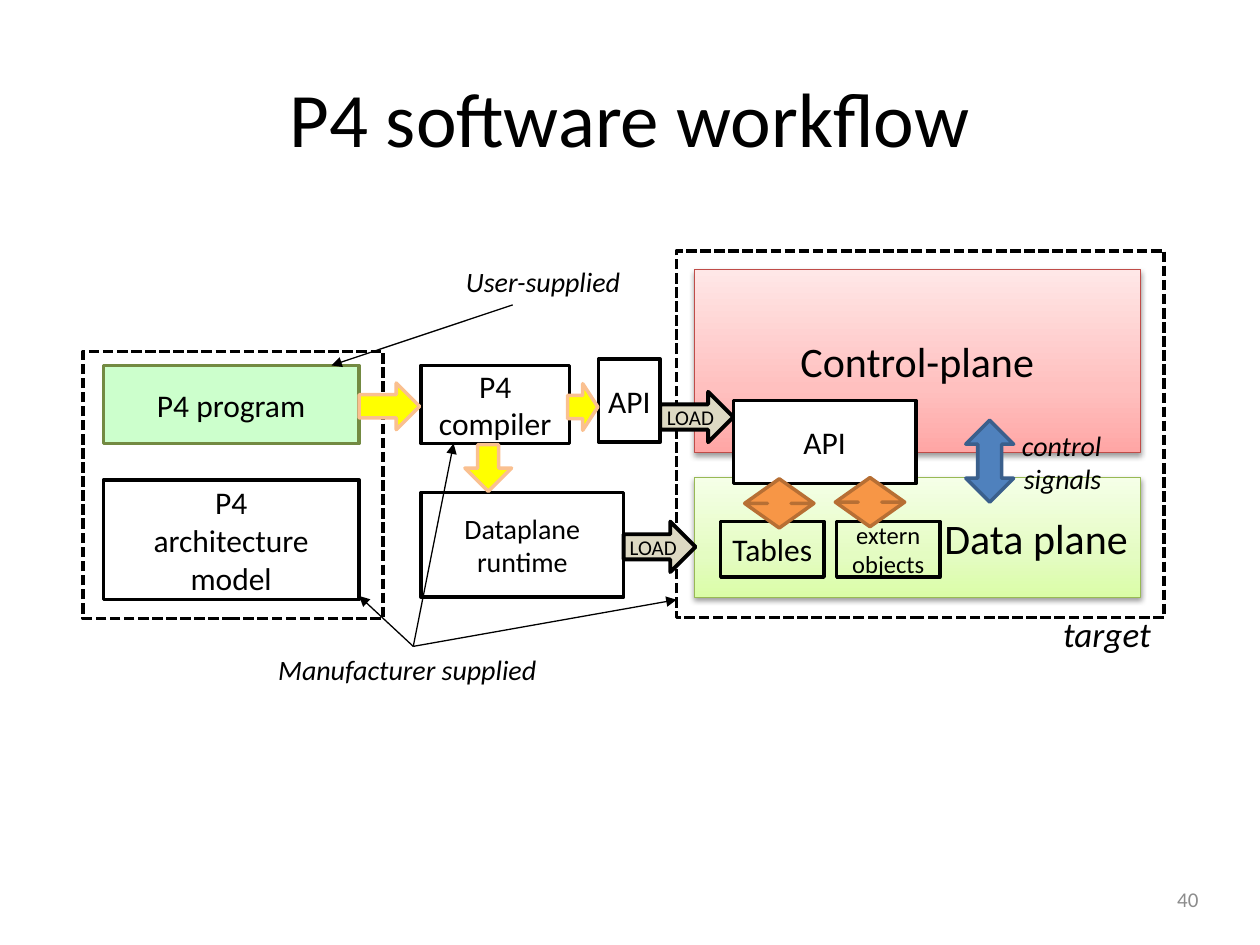
from lxml import etree
from pptx import Presentation
from pptx.dml.color import RGBColor
from pptx.enum.dml import MSO_LINE_DASH_STYLE as DASH
from pptx.enum.shapes import MSO_CONNECTOR, MSO_SHAPE as SHAPE
from pptx.enum.text import MSO_ANCHOR as ANCHOR, PP_ALIGN as ALIGN
from pptx.oxml import parse_xml
from pptx.oxml.ns import nsdecls, qn
from pptx.util import Inches, Pt

COLORS = {
    "black": "000000", "white": "FFFFFF", "grey": "8C8C8C",
    "program": "CCFFCC", "program_line": "738A42",
    "yellow": "FFFF00", "yellow_line": "FAC090",
    "blue": "4F81BD", "blue_line": "3A5F8C",
    "orange": "F79646", "orange_line": "B76F34",
    "load": "DDD9C3", "data_line": "98B955", "control_line": "BF4C48",
}
GRADIENTS = {
    "data": ["DAFDA7", "E4FCC2", "F5FFE7"],
    "control": ["FFA6A5", "FFC0BF", "FFE7E7"],
}


def write(shape, text, size, color="black", italic=False, align=ALIGN.CENTER, wrap=True):
    frame = shape.text_frame
    frame.word_wrap = wrap
    frame.text = text
    for paragraph in frame.paragraphs:
        paragraph.alignment = align
        for run in paragraph.runs:
            run.font.name = "Calibri"
            run.font.size = Pt(size)
            run.font.italic = italic
            run.font.color.rgb = RGBColor.from_string(COLORS[color])


def add_block(kind, place, fill, line, width=2):
    shape = page.shapes.add_shape(kind, *map(Inches, place))
    shape.shadow.inherit = False
    if fill:
        shape.fill.solid()
        shape.fill.fore_color.rgb = RGBColor.from_string(COLORS[fill])
    else:
        shape.fill.background()
    shape.line.color.rgb = RGBColor.from_string(COLORS[line])
    shape.line.width = Pt(width)
    shape.text_frame.vertical_anchor = ANCHOR.MIDDLE
    return shape


deck = Presentation()
deck.slide_width, deck.slide_height = Inches(10), Inches(7.5)
page = deck.slides.add_slide(deck.slide_layouts[5])

title = page.shapes.title
title.left, title.top, title.width, title.height = map(Inches, (0.5, 0.3, 9, 1.25))
title.text_frame.vertical_anchor = ANCHOR.MIDDLE
write(title, "P4 software workflow", 44)

planes = [
    ("data", "Data plane", 3.79, 0.95, ALIGN.RIGHT),
    ("control", "Control-plane", 2.14, 1.45, ALIGN.CENTER),
]
for name, text, top, height, align in planes:
    plane = add_block(SHAPE.RECTANGLE, (5.51, top, 3.54, height), "white", name + "_line", 0.75)
    write(plane, text, 24, align=align)
    stops = "".join(
        f'<a:gs pos="{position}"><a:srgbClr val="{color}"/></a:gs>'
        for position, color in zip((0, 35000, 100000), GRADIENTS[name])
    )
    properties = plane._element.spPr
    properties.replace(properties.find(qn("a:solidFill")), parse_xml(
        f'<a:gradFill {nsdecls("a")} rotWithShape="1"><a:gsLst>{stops}</a:gsLst>'
        '<a:lin ang="16200000" scaled="0"/></a:gradFill>'))
    properties.find(qn("a:effectLst")).append(parse_xml(
        f'<a:outerShdw {nsdecls("a")} blurRad="{Pt(3.1)}" dist="{Pt(1.6)}" dir="5400000" '
        'rotWithShape="0"><a:srgbClr val="000000"><a:alpha val="38000"/></a:srgbClr></a:outerShdw>'))

for place in [(0.66, 2.79, 2.38, 2.12), (5.37, 1.99, 3.87, 2.91)]:
    border = add_block(SHAPE.RECTANGLE, place, None, "black")
    border.line.dash_style = DASH.SQUARE_DOT

boxes = [
    ("P4 program", (0.82, 2.9, 2.03, 0.62), "program", "program_line", 18, True),
    ("P4\varchitecture\nmodel", (0.82, 3.81, 2.03, 0.95), None, "black", 18, True),
    ("P4 compiler", (3.34, 2.9, 1.18, 0.62), None, "black", 18, True),
    ("Dataplane\vruntime", (3.34, 3.91, 1.61, 0.83), None, "black", 16, True),
    ("Tables", (5.72, 4.14, 0.82, 0.44), None, "black", 18, False),
    ("extern\vobjects", (6.64, 4.14, 0.82, 0.44), None, "black", 14, False),
    ("API", (5.82, 3.18, 1.45, 0.66), "white", "black", 18, True),
    ("API", (4.75, 2.85, 0.49, 0.66), "white", "black", 18, False),
]
for text, place, fill, line, size, wrap in boxes:
    write(add_block(SHAPE.RECTANGLE, place, fill, line), text, size, wrap=wrap)

arrows = [
    (SHAPE.DOWN_ARROW, (3.69, 3.53, 0.37, 0.37), "yellow", 0, (0.45, 0.5)),
    (SHAPE.RIGHT_ARROW, (2.85, 3.04, 0.48, 0.37), "yellow", 0, (0.5, 0.5)),
    (SHAPE.DOWN_ARROW, (4.44, 3.11, 0.37, 0.24), "yellow", 270, (0.5, 0.5)),
    (SHAPE.LEFT_RIGHT_ARROW, (7.53, 3.47, 0.65, 0.38), "blue", 270, (0.5, 0.5)),
    (SHAPE.UP_DOWN_ARROW, (5.91, 3.8, 0.55, 0.39), "orange", 0, (0.5, 0.34)),
    (SHAPE.UP_DOWN_ARROW, (6.63, 3.79, 0.55, 0.39), "orange", 0, (0.5, 0.34)),
]
for kind, place, color, rotation, adjustments in arrows:
    arrow = add_block(kind, place, color, color + "_line")
    arrow.rotation = rotation
    for index, value in enumerate(adjustments):
        arrow.adjustments[index] = value

for place in [(4.95, 4.14, 0.57, 0.4), (5.24, 3.11, 0.58, 0.4)]:
    load = add_block(SHAPE.RIGHT_ARROW, place, "load", "black", 2.25)
    write(load, "LOAD", 12, wrap=False)

supplier = (3.28, 5.13)
pointers = [
    ((4.07, 2.42), (2.63, 2.9)),
    (supplier, (2.85, 4.73)),
    (supplier, (3.6, 3.52)),
    (supplier, (5.37, 4.76)),
]
for start, end in pointers:
    pointer = page.shapes.add_connector(MSO_CONNECTOR.STRAIGHT, *map(Inches, start + end))
    pointer.line.color.rgb = RGBColor.from_string(COLORS["black"])
    pointer.line.width = Pt(0.75)
    etree.SubElement(pointer.line._get_or_add_ln(), qn("a:tailEnd"), type="triangle")
    etree.SubElement(pointer._element.spPr, qn("a:effectLst"))

labels = [
    ("target", (8.34, 4.81, 0.9, 0.44), 20, "black", True, ALIGN.LEFT),
    ("User-supplied", (3.6, 2.05, 1.5, 0.37), 16, "black", True, ALIGN.LEFT),
    ("Manufacturer supplied", (2.11, 5.13, 2.33, 0.37), 16, "black", True, ALIGN.LEFT),
    ("control\nsignals", (8, 3.35, 0.84, 0.64), 16, "black", True, ALIGN.RIGHT),
    ("40", (8.57, 6.94, 1.04, 0.4), 12, "grey", False, ALIGN.RIGHT),
]
for text, place, size, color, italic, align in labels:
    label = page.shapes.add_textbox(*map(Inches, place))
    label.text_frame.vertical_anchor = ANCHOR.TOP if italic else ANCHOR.MIDDLE
    write(label, text, size, color, italic, align, wrap=not italic)

deck.save("out.pptx")
